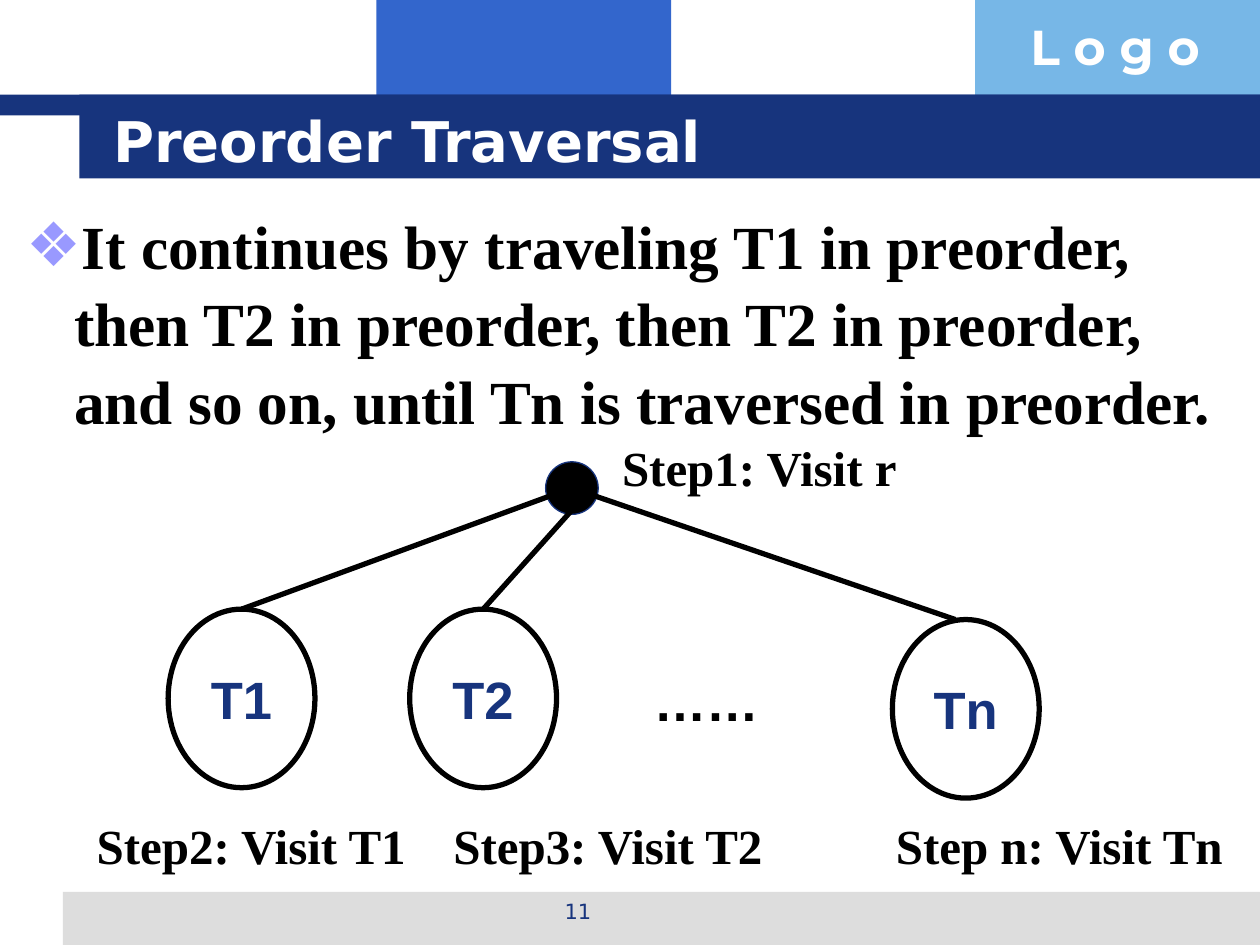
from dataclasses import dataclass
from lxml import etree
from pptx import Presentation
from pptx import util as u
from pptx.dml import color
from pptx.enum import shapes, text
from pptx.oxml import ns


@dataclass
class Theme:
    navy: str = "17347D"
    blue: str = "3366CC"
    sky: str = "77B7E7"
    gray: str = "DDDDDD"
    lilac: str = "9999FF"
    black: str = "000000"
    white: str = "FFFFFF"
    head: int = 32
    body: int = 35
    node: int = 30
    step: int = 28
    small: int = 12


theme = Theme()
rgb = color.RGBColor.from_string
LEFT, MID = text.PP_ALIGN.LEFT, text.PP_ALIGN.CENTER


def write(shape, words, size, face, ink=theme.black, bold=True, align=LEFT,
          anchor=text.MSO_ANCHOR.TOP, wrap=False):
    frame = shape.text_frame
    frame.text = words
    frame.auto_size = text.MSO_AUTO_SIZE.NONE
    frame.word_wrap = wrap
    frame.vertical_anchor = anchor
    para = frame.paragraphs[0]
    para.alignment = align
    font = para.runs[0].font
    font.size, font.name, font.bold = u.Pt(size), face, bold
    font.color.rgb = rgb(ink)
    return para


def draw(kind, left, top, width, height, fill=None, line=None, weight=3):
    shape = slide.shapes.add_shape(
        kind, u.Cm(left), u.Cm(top), u.Cm(width), u.Cm(height))
    shape.shadow.inherit = False
    if fill:
        shape.fill.solid()
        shape.fill.fore_color.rgb = rgb(fill)
    else:
        shape.fill.background()
    if line:
        shape.line.color.rgb = rgb(line)
        shape.line.width = u.Pt(weight)
    else:
        shape.line.fill.background()
    return shape


deck = Presentation()
deck.slide_width, deck.slide_height = u.Cm(25.4), u.Cm(19.05)
slide = deck.slides.add_slide(deck.slide_layouts[1])
title, body = slide.shapes.title, slide.placeholders[1]
RECT, OVAL = shapes.MSO_SHAPE.RECTANGLE, shapes.MSO_SHAPE.OVAL

# Bands of the frame
for left, top, width, height, fill in (
        (7.59, 0, 5.94, 2.34, theme.blue),
        (19.66, 0, 5.74, 2.34, theme.sky),
        (1.27, 17.98, 24.13, 1.07, theme.gray),
        (0, 1.91, 25.4, 0.42, theme.navy),
        (1.6, 1.91, 23.8, 1.69, theme.navy)):
    draw(RECT, left, top, width, height, fill)

# Title and list, lifted above the bands
for holder, left, top, width, height in (
        (title, 2.03, 2.03, 21.67, 1.57),
        (body, 0.28, 4.0, 24.97, 12.7)):
    holder.left, holder.top = u.Cm(left), u.Cm(top)
    holder.width, holder.height = u.Cm(width), u.Cm(height)
    tree = holder.element.getparent()
    tree.append(holder.element)

write(title, "Preorder Traversal", theme.head, "DejaVu Sans", theme.white,
      anchor=text.MSO_ANCHOR.MIDDLE, wrap=True)
para = write(body, "It continues by traveling T1 in preorder, then T2 in "
             "preorder, then T2 in preorder, and so on, until Tn is "
             "traversed in preorder.", theme.body, "Times New Roman", wrap=True)
para.space_before = u.Pt(0)
para.line_spacing = 1.05

# Bullet of the list
props = para._p.get_or_add_pPr()
props.set("marL", str(u.Cm(0.96)))
props.set("indent", str(-u.Cm(0.96)))
tint = etree.SubElement(props, ns.qn("a:buClr"))
etree.SubElement(tint, ns.qn("a:srgbClr"), val=theme.lilac)
etree.SubElement(props, ns.qn("a:buChar"), char="❖")

# Root and subtrees, each with its branch; Tn's branch ends left of its top
draw(OVAL, 11, 9.31, 1.06, 1.06, theme.black, theme.navy, 0.75)
for name, left, top, start, end in (
        ("T1", 3.39, 12.28, (11.22, 9.95), None),
        ("T2", 8.26, 12.28, (11.64, 10.16), None),
        ("Tn", 17.99, 12.49, (11.85, 9.95), (19.26, 12.49))):
    node = draw(OVAL, left, top, 2.96, 3.6, line=theme.black)
    write(node, name, theme.node, "Arial", theme.navy, align=MID,
          anchor=text.MSO_ANCHOR.MIDDLE)
    goal = end or (left + 1.48, top)
    branch = slide.shapes.add_connector(
        shapes.MSO_CONNECTOR.STRAIGHT, *(u.Cm(n) for n in start + goal))
    branch.line.color.rgb = rgb(theme.black)
    branch.line.width = u.Pt(3)
    etree.SubElement(branch.element.spPr, ns.qn("a:effectLst"))
    if not end:
        branch.end_connect(node, 0)

# Labels, logo text and page number
step = dict(size=theme.step, face="Times New Roman")
for words, left, top, width, height, style in (
        ("L o g o", 20.52, 0.2, 4.9, 1.45,
         dict(size=theme.step, face="Montserrat", ink=theme.white, wrap=True)),
        ("11", 8.69, 17.98, 5.92, 0.89,
         dict(size=theme.small, face="DejaVu Sans", ink=theme.navy,
              bold=False, align=MID, wrap=True)),
        ("……", 12.93, 13.36, 2.62, 1.52, dict(size=theme.node, face="Arial")),
        ("Step1: Visit r", 12.29, 8.69, 6.1, 1.45, step),
        ("Step2: Visit T1", 1.7, 16.31, 6.81, 1.45, step),
        ("Step3: Visit T2", 8.89, 16.31, 6.81, 1.45, step),
        ("Step n: Visit Tn", 17.81, 16.31, 7.16, 1.45, step)):
    box = slide.shapes.add_textbox(
        u.Cm(left), u.Cm(top), u.Cm(width), u.Cm(height))
    write(box, words, **style)

deck.save("out.pptx")
